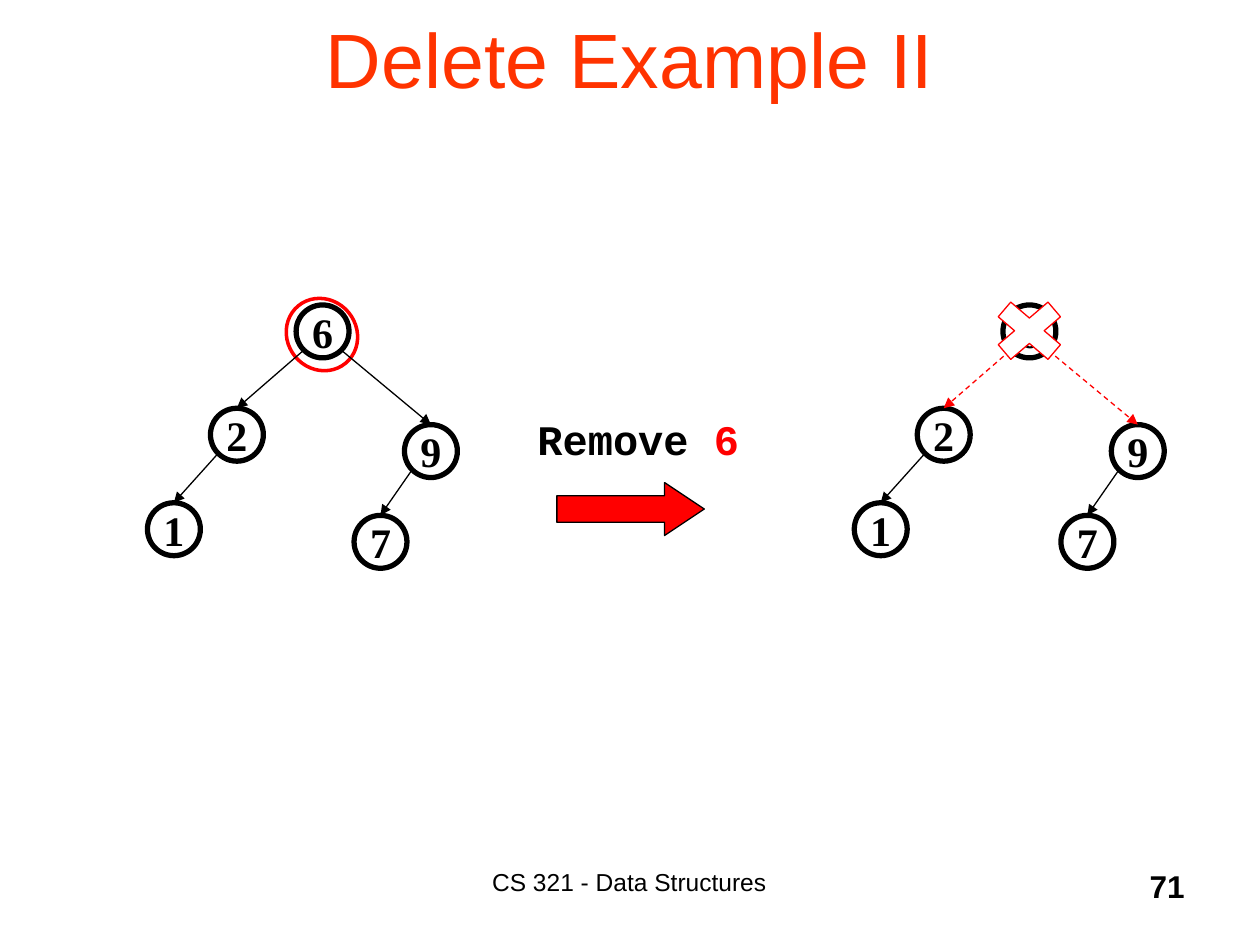
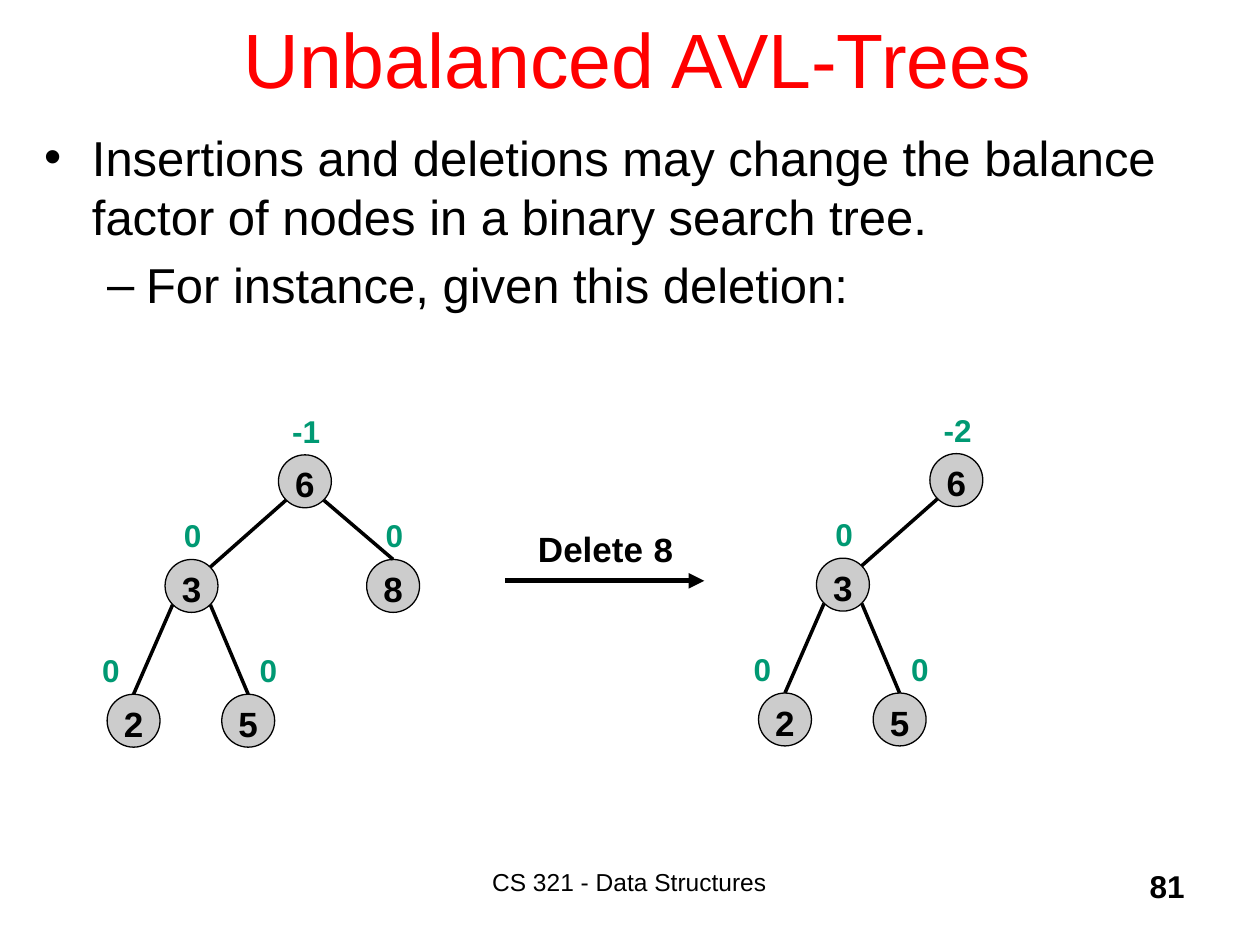
from dataclasses import dataclass

from lxml import etree
from pptx import Presentation
from pptx.dml.color import RGBColor
from pptx.enum.dml import MSO_LINE
from pptx.enum.shapes import MSO_CONNECTOR as Connector, MSO_SHAPE as Shape
from pptx.enum.text import MSO_ANCHOR as Anchor, MSO_AUTO_SIZE, PP_ALIGN as Align
from pptx.oxml.ns import qn
from pptx.util import Inches, Pt


@dataclass(frozen=True)
class Theme:
    sans: str = "Arial"
    serif: str = "Times New Roman"
    mono: str = "Courier New"
    black: str = "000000"
    white: str = "FFFFFF"
    red: str = "FF0000"
    orange: str = "FF3300"
    gray: str = "CCCCCC"
    green: str = "009973"
    title_size: int = 44
    body_size: int = 28
    key_size: int = 24
    node_size: int = 20
    small_size: int = 18
    footer_size: int = 14


THEME = Theme()
NODE_SIZE = 0.42
CORNER = 0.15  # distance from a node's centre to where an edge leaves it


def rgb(color):
    return RGBColor.from_string(color)


def write_text(para, text, font=THEME.sans, size=THEME.small_size,
               color=THEME.black, bold=False, align=None):
    if align is not None:
        para.alignment = align
    span = para.add_run()
    span.text = text
    span.font.name = font
    span.font.size = Pt(size)
    span.font.color.rgb = rgb(color)
    span.font.bold = bold


def add_box(page, left, top, width, height):
    """Add a wrapping text box and return its first paragraph."""
    box = page.shapes.add_textbox(*map(Inches, (left, top, width, height)))
    box.text_frame.word_wrap = True
    return box.text_frame.paragraphs[0]


def add_shape(page, kind, left, top, width, height, fill=None,
              line=THEME.black, weight=0.75):
    shape = page.shapes.add_shape(kind, *map(Inches, (left, top, width, height)))
    shape.shadow.inherit = False
    if fill:
        shape.fill.solid()
        shape.fill.fore_color.rgb = rgb(fill)
    else:
        shape.fill.background()
    shape.line.color.rgb = rgb(line)
    shape.line.width = Pt(weight)
    return shape


def add_line(page, start, end, color=THEME.black, weight=0.75,
             arrow=False, dashed=False):
    link = page.shapes.add_connector(Connector.STRAIGHT,
                                     *map(Inches, (*start, *end)))
    link.line.color.rgb = rgb(color)
    link.line.width = Pt(weight)
    if dashed:
        link.line.dash_style = MSO_LINE.DASH
    if arrow:
        etree.SubElement(link.line._get_or_add_ln(), qn("a:tailEnd"), type="triangle")
    etree.SubElement(link._element.spPr, qn("a:effectLst"))


def add_node(page, key, center, fill=None, weight=3, font=THEME.serif,
             size=THEME.key_size, drop=0):
    """Add a circled key; drop is the top inset that lowers the key a little."""
    x, y = center
    node = add_shape(page, Shape.OVAL, x - NODE_SIZE / 2, y - NODE_SIZE / 2,
                     NODE_SIZE, NODE_SIZE, fill=fill, weight=weight)
    frame = node.text_frame
    frame.word_wrap = False
    frame.vertical_anchor = Anchor.MIDDLE
    frame.margin_left = frame.margin_right = frame.margin_bottom = 0
    frame.margin_top = Inches(drop)
    write_text(frame.paragraphs[0], key, font=font, size=size, bold=True,
               align=Align.CENTER)


def add_edge(page, parent, child, to_corner=False, **line_format):
    """Join a parent's lower corner to the top, or upper corner, of its child."""
    (px, py), (cx, cy) = parent, child
    side = 1 if cx > px else -1
    start = (px + side * CORNER, py + CORNER)
    end = (cx - side * CORNER, cy - CORNER) if to_corner else (cx, cy - NODE_SIZE / 2)
    add_line(page, start, end, **line_format)


def shift_tree(nodes, dx, dy=0):
    return {key: (x + dx, y + dy) for key, (x, y) in nodes.items()}


def format_title(page, text, color, left, width):
    title = page.shapes.title
    title.left, title.top, title.width, title.height = map(
        Inches, (left, -0.17, width, 1.25))
    title.text_frame.vertical_anchor = Anchor.MIDDLE
    write_text(title.text_frame.paragraphs[0], text, size=THEME.title_size,
               color=color, align=Align.CENTER)


def add_footer(page, number):
    write_text(add_box(page, 3.08, 6.83, 3.83, 0.5), "CS 321 - Data Structures",
               size=THEME.footer_size, align=Align.CENTER)
    write_text(add_box(page, 7.42, 6.83, 2.08, 0.5), number, bold=True,
               align=Align.RIGHT)


def add_bullet(para, text, mark, margin, hanging, level=0):
    para.level = level
    properties = para._p.get_or_add_pPr()
    properties.set("marL", str(Inches(margin)))
    properties.set("indent", str(-Inches(hanging)))
    para.space_before = Pt(5.6 if level else 0)
    etree.SubElement(properties, qn("a:buChar"), char=mark)
    write_text(para, text, size=THEME.body_size)


def add_search_tree(page, nodes, removed=None):
    for key, center in nodes.items():
        add_node(page, key, center)
    for parent, child in ("62", "69", "21", "97"):
        cut = parent == removed
        add_edge(page, nodes[parent], nodes[child], arrow=True, dashed=cut,
                 color=THEME.red if cut else THEME.black)


def add_avl_tree(page, nodes, root_balance):
    for key, (x, y) in nodes.items():
        add_node(page, key, (x, y), fill=THEME.gray, weight=0.75,
                 font=THEME.sans, size=THEME.node_size, drop=0.04)
        side = {"2": -0.18, "5": 0.16}.get(key, 0.01)
        balance = root_balance if key == "6" else "0"
        write_text(add_box(page, x + side - 0.25, y - 0.6, 0.5, 0.4), balance,
                   color=THEME.green, bold=True, align=Align.CENTER)
    for parent, child in ("63", "32", "35", "68"):
        if child in nodes:
            add_edge(page, nodes[parent], nodes[child],
                     to_corner=child == "3", weight=2)


def build_delete_example(deck):
    page = deck.slides.add_slide(deck.slide_layouts[5])
    format_title(page, "Delete Example II", THEME.orange, 0.75, 8.5)
    add_footer(page, "71")

    caption = add_box(page, 4.04, 3.23, 2.05, 0.5)
    for text, color in (("Remove ", THEME.black), ("6", THEME.red)):
        write_text(caption, text, font=THEME.mono, size=THEME.key_size,
                   color=color, bold=True, align=Align.CENTER)
    arrow = add_shape(page, Shape.RIGHT_ARROW, 4.42, 3.83, 1.17, 0.42, fill=THEME.red)
    arrow.adjustments[1] = 0.75

    highlight = add_shape(page, Shape.OVAL, 2.28, 2.36, 0.55, 0.59,
                          line=THEME.red, weight=2)
    highlight.rotation = 320.5

    before = {"6": (2.56, 2.63), "2": (1.88, 3.45), "9": (3.42, 3.58),
              "1": (1.38, 4.2), "7": (3.02, 4.3)}
    add_search_tree(page, before)
    add_search_tree(page, shift_tree(before, 5.61), removed="6")
    add_shape(page, Shape.MATH_MULTIPLY, 7.79, 2.3, 0.76, 0.65,
              fill=THEME.white, line=THEME.red)


def build_unbalanced_trees(deck):
    page = deck.slides.add_slide(deck.slide_layouts[1])
    format_title(page, "Unbalanced AVL-Trees", THEME.red, 0.7, 8.72)
    add_footer(page, "81")

    body = page.placeholders[1]
    body.left, body.top, body.width, body.height = map(
        Inches, (0.25, 0.96, 9.75, 1.17))
    frame = body.text_frame
    frame.auto_size = MSO_AUTO_SIZE.NONE
    add_bullet(frame.paragraphs[0],
               "Insertions and deletions may change the balance factor of "
               "nodes in a binary search tree.", "•", 0.38, 0.38)
    add_bullet(frame.add_paragraph(), "For instance, given this deletion:",
               "–", 0.81, 0.31, level=1)

    before = {"6": (2.42, 3.82), "3": (1.52, 4.65), "8": (3.12, 4.65),
              "2": (1.06, 5.72), "5": (1.97, 5.72)}
    after = shift_tree(before, 5.17, -0.01)
    del after["8"]
    add_avl_tree(page, before, "-1")
    add_avl_tree(page, after, "-2")

    add_line(page, (4.01, 4.61), (5.59, 4.61), weight=3, arrow=True)
    caption = add_box(page, 3.93, 4.14, 1.76, 0.44)
    for text, font in (("Delete ", THEME.sans), ("8", THEME.mono)):
        write_text(caption, text, font=font, size=THEME.node_size, bold=True,
                   align=Align.CENTER)


def main():
    deck = Presentation()
    deck.slide_width, deck.slide_height = Inches(10), Inches(7.5)
    build_delete_example(deck)
    build_unbalanced_trees(deck)
    deck.save("out.pptx")


if __name__ == "__main__":
    main()
